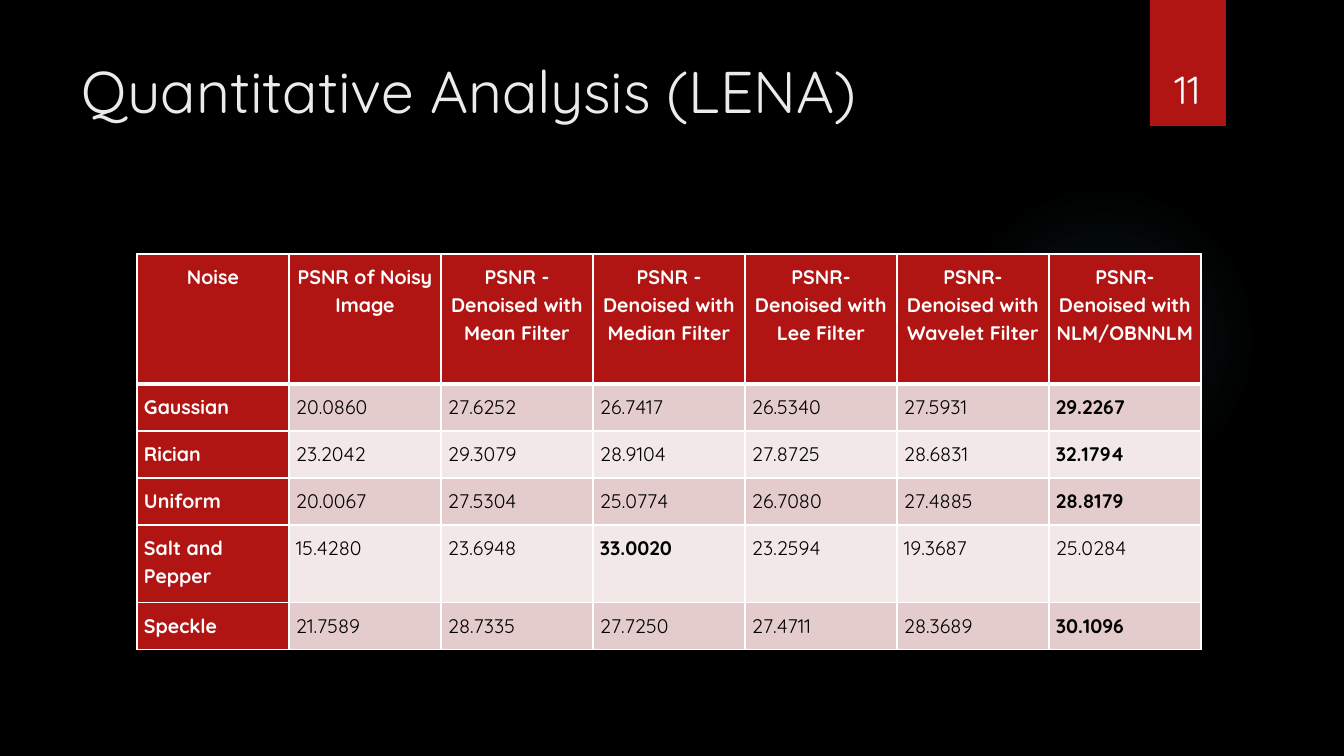
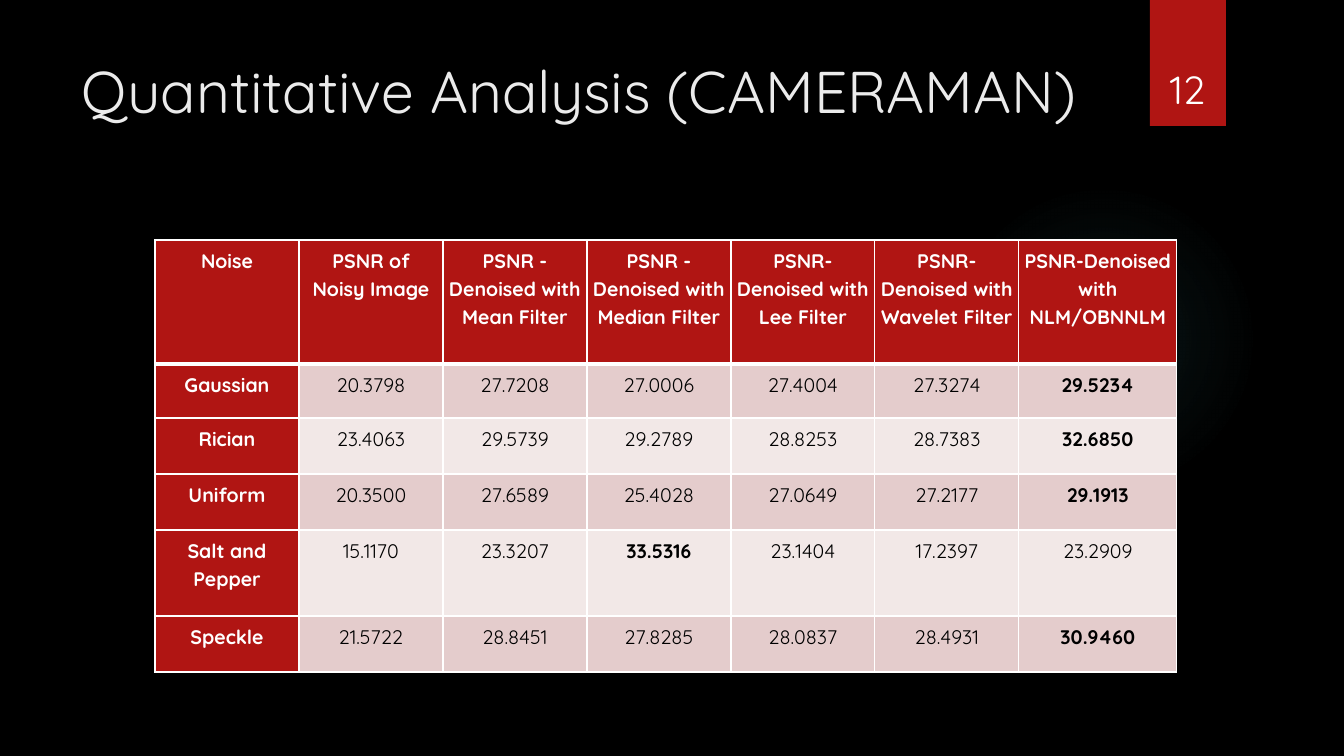
from pptx import Presentation
from pptx.dml.color import RGBColor
from pptx.enum.shapes import MSO_SHAPE
from pptx.enum.text import MSO_ANCHOR, PP_ALIGN
from pptx.oxml import parse_xml
from pptx.oxml.ns import nsdecls
from pptx.util import Emu, Pt


class Theme:
    font = "Quicksand"
    black, white, red = "000000", "FFFFFF", "B01513"
    pale, dark, light = "EBEBEB", "E4CCCC", "F2E8E7"
    glow = "50B9C1"
    title, page, cell = 42, 28, 14


def px(*nums):
    return [Emu(round(n * 914400 / 100.8)) for n in nums]


def write(frame, text, size, color, bold=False, align=PP_ALIGN.LEFT):
    frame.word_wrap = True
    para = frame.paragraphs[0]
    para.alignment = align
    run = para.add_run()
    run.text = text
    font = run.font
    font.name, font.size, font.bold = Theme.font, Pt(size), bold
    font.color.rgb = RGBColor.from_string(color)
    return para


HEADS = ["Noise", "PSNR of Noisy Image",
         "PSNR - Denoised with Mean Filter",
         "PSNR - Denoised with Median Filter",
         "PSNR- Denoised with Lee Filter",
         "PSNR-Denoised with Wavelet Filter",
         "PSNR-Denoised with NLM/OBNNLM"]
NOISES = ["Gaussian", "Rician", "Uniform", "Salt and Pepper", "Speckle"]

SLIDES = [
    dict(title="Quantitative Analysis (LENA)", page="11",
         at=(137, 254), cols=[152] * 7, rows=[130, 47, 47, 47, 78, 47],
         inset=7, align=PP_ALIGN.LEFT,
         data=["20.0860 27.6252 26.7417 26.5340 27.5931 29.2267",
               "23.2042 29.3079 28.9104 27.8725 28.6831 32.1794",
               "20.0067 27.5304 25.0774 26.7080 27.4885 28.8179",
               "15.4280 23.6948 33.0020 23.2594 19.3687 25.0284",
               "21.7589 28.7335 27.7250 27.4711 28.3689 30.1096"]),
    dict(title="Quantitative Analysis (CAMERAMAN)", page="12",
         at=(155, 240), cols=[144] * 6 + [158], rows=[124, 54, 56, 56, 86, 56],
         inset=5, align=PP_ALIGN.CENTER,
         data=["20.3798 27.7208 27.0006 27.4004 27.3274 29.5234",
               "23.4063 29.5739 29.2789 28.8253 28.7383 32.6850",
               "20.3500 27.6589 25.4028 27.0649 27.2177 29.1913",
               "15.1170 23.3207 33.5316 23.1404 17.2397 23.2909",
               "21.5722 28.8451 27.8285 28.0837 28.4931 30.9460"]),
]

deck = Presentation()
deck.slide_width, deck.slide_height = px(1344, 756)
back = deck.slide_master.background.fill
back.solid()
back.fore_color.rgb = RGBColor.from_string(Theme.black)

for info in SLIDES:
    shapes = deck.slides.add_slide(deck.slide_layouts[6]).shapes

    # Soft glow
    glow = shapes.add_shape(MSO_SHAPE.OVAL, *px(949, 184, 310, 310))
    glow.shadow.inherit = False
    glow.line.fill.background()
    glow.fill.background()
    stops = "".join(
        f'<a:gs pos="{pos}000"><a:srgbClr val="{Theme.glow}">'
        f'<a:alpha val="{alpha}000"/></a:srgbClr></a:gs>'
        for pos, alpha in [(0, 7), (36, 6), (69, 0)])
    props = glow._element.spPr
    props.replace(props.find("{*}noFill"), parse_xml(
        f'<a:gradFill {nsdecls("a")}><a:gsLst>{stops}</a:gsLst><a:path path="circle">'
        '<a:fillToRect l="50000" t="50000" r="50000" b="50000"/></a:path></a:gradFill>'))

    # Red page tab with its shadow
    tab = shapes.add_shape(MSO_SHAPE.RECTANGLE, *px(1150, 0, 76, 126))
    tab.fill.solid()
    tab.fill.fore_color.rgb = RGBColor.from_string(Theme.red)
    tab.line.fill.background()
    tab.shadow.inherit = False
    tab._element.spPr.find("{*}effectLst").append(parse_xml(
        f'<a:outerShdw {nsdecls("a")} blurRad="{Pt(3)}" dist="{Pt(2)}" dir="5400000">'
        f'<a:srgbClr val="{Theme.black}"><a:alpha val="45000"/></a:srgbClr></a:outerShdw>'))

    # Title and page number
    title = shapes.add_textbox(*px(72, 50, 1037, 154))
    write(title.text_frame, info["title"], Theme.title, Theme.pale)
    page = shapes.add_textbox(*px(1141, 32, 93, 85))
    page.text_frame.vertical_anchor = MSO_ANCHOR.BOTTOM
    write(page.text_frame, info["page"], Theme.page, Theme.white, align=PP_ALIGN.CENTER)

    # Table grid
    cols, rows = info["cols"], info["rows"]
    table = shapes.add_table(len(rows), len(cols),
                             *px(*info["at"], sum(cols), sum(rows))).table
    for col, width in zip(table.columns, px(*cols)):
        col.width = width
    for row, height in zip(table.rows, px(*rows)):
        row.height = height

    # Table cells; the best filter of each row is bold
    lines = [HEADS] + [[name, *nums.split()] for name, nums in zip(NOISES, info["data"])]
    for r, line in enumerate(lines):
        best = max(line[2:], key=float) if r else None
        for c, text in enumerate(line):
            cell = table.cell(r, c)
            edge = not r or not c
            (cell.margin_left, cell.margin_top,
             cell.margin_right, cell.margin_bottom) = px(*[info["inset"]] * 4)
            para = write(cell.text_frame, text, Theme.cell,
                         Theme.white if edge else Theme.black,
                         edge or text == best,
                         info["align"] if r else PP_ALIGN.CENTER)
            para.line_spacing = 1.15
            for side in "LRTB":
                thick = (r, side) in [(0, "B"), (1, "T")]
                cell._tc.get_or_add_tcPr().append(parse_xml(
                    f'<a:ln{side} {nsdecls("a")} w="{Pt(3 if thick else 1)}"><a:solidFill>'
                    f'<a:srgbClr val="{Theme.white}"/></a:solidFill></a:ln{side}>'))
            cell.fill.solid()
            cell.fill.fore_color.rgb = RGBColor.from_string(
                Theme.red if edge else Theme.dark if r % 2 else Theme.light)

deck.save("out.pptx")
